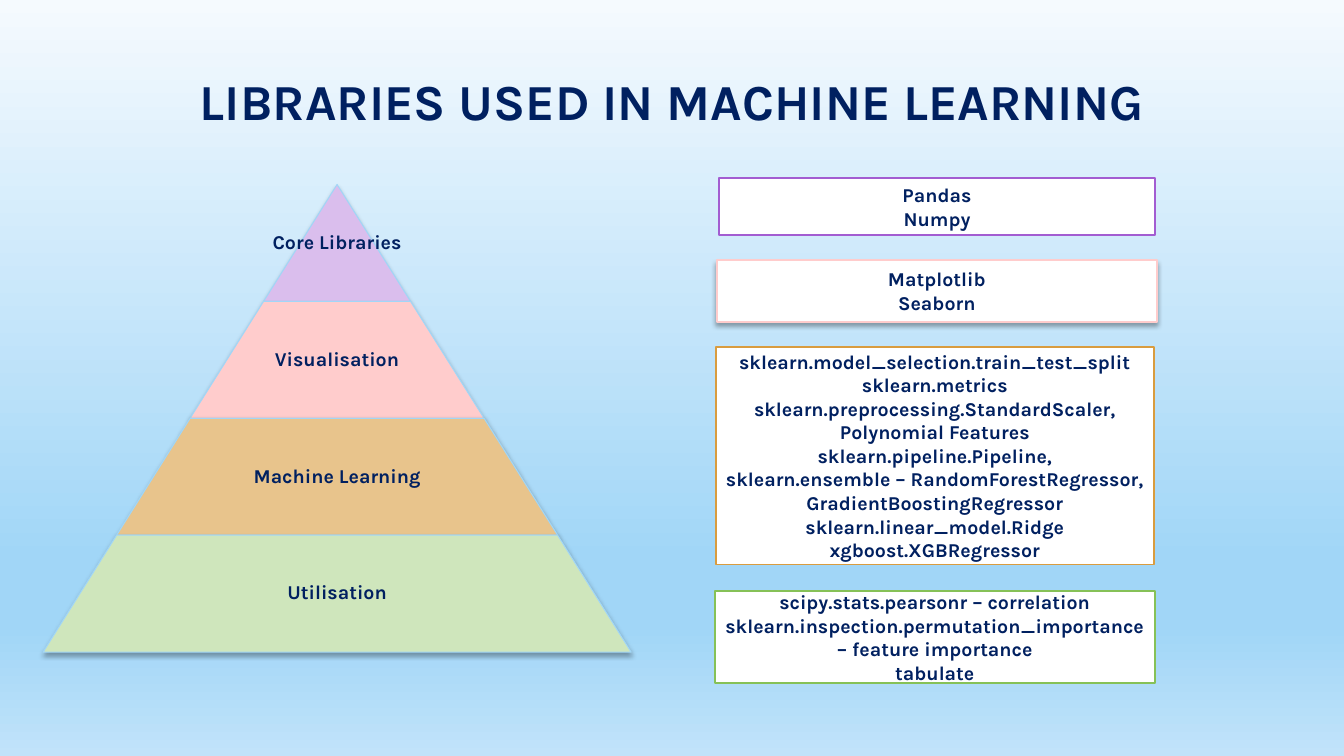
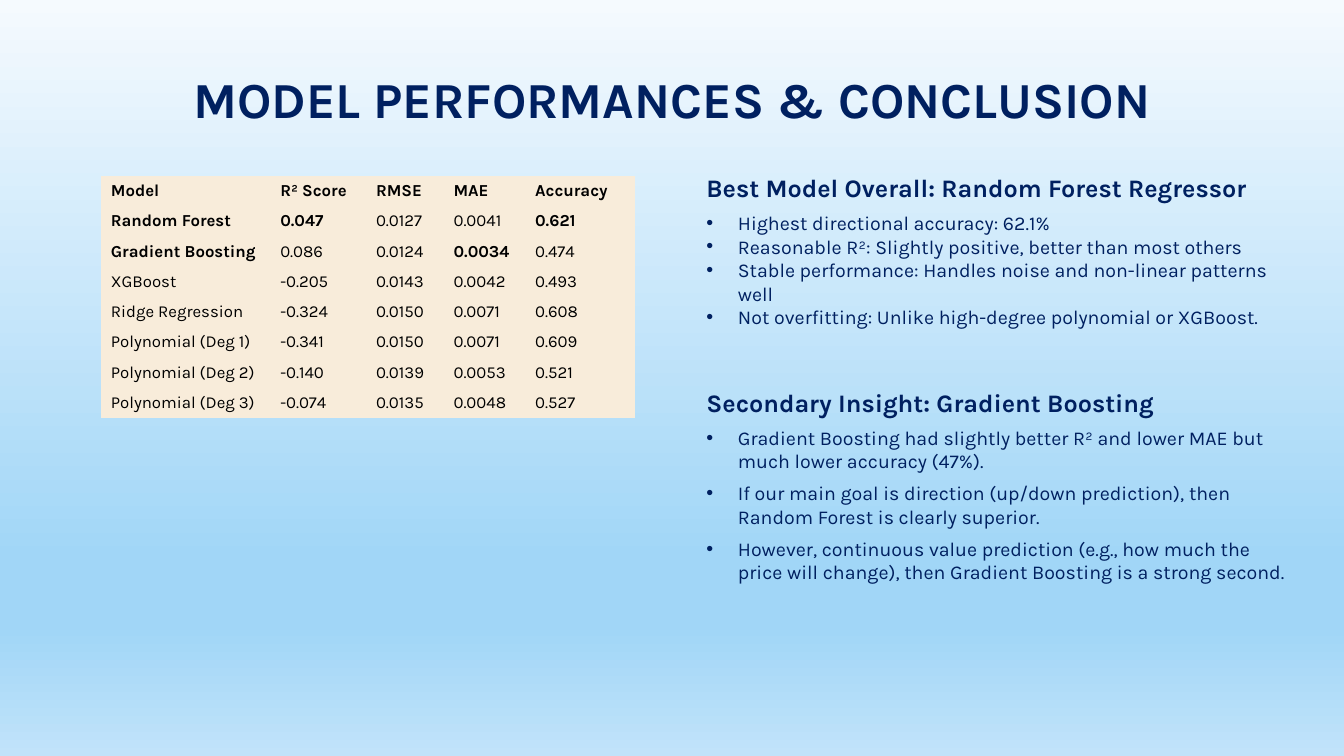
from lxml import etree
from pptx import Presentation
from pptx.dml.color import RGBColor
from pptx.enum import shapes, text
from pptx.oxml import ns
from pptx.util import Pt

FONT = "Karla"
COLOURS = {
    "navy": "002060", "black": "000000", "white": "FFFFFF", "sky": "A1D6F7",
    "dawn": "F5FAFE", "haze": "C1E3FA", "cream": "F8ECDA",
    "lilac": "DABEED", "pink": "FFCCCC", "sand": "E8C48C", "mint": "CFE6BC",
    "purple": "A35DD1", "amber": "D99C3F", "green": "86C157",
}
BACKDROP = [(0, "dawn"), (74, "sky"), (83, "sky"), (100, "haze")]

TIERS = [
    ("Core Libraries", "lilac"),
    ("Visualisation", "pink"),
    ("Machine Learning", "sand"),
    ("Utilisation", "mint"),
]
APEX_X, APEX_Y, TIER_HEIGHT, TIER_STEP = 240.8, 131.8, 83.5, 52.5

LIBRARIES = [
    ((513.4, 127.4, 311.8, 40.3), "purple", 1.25, False, ["Pandas", "Numpy"]),
    ((511.9, 185.8, 314.6, 43.9), "pink", 1.5, True, ["Matplotlib", "Seaborn"]),
    ((511.2, 247.7, 313.2, 155.5), "amber", 1.25, False, [
        "sklearn.model_selection.train_test_split",
        "sklearn.metrics",
        "sklearn.preprocessing.StandardScaler, Polynomial Features",
        "sklearn.pipeline.Pipeline,",
        "sklearn.ensemble – RandomForestRegressor, GradientBoostingRegressor",
        "sklearn.linear_model.Ridge",
        "xgboost.XGBRegressor",
    ]),
    ((510.5, 421.9, 314.6, 66.2), "green", 1.25, False, [
        "scipy.stats.pearsonr – correlation "
        "sklearn.inspection.permutation_importance – feature importance",
        "tabulate",
    ]),
]

SCORES = [
    ["Model", "R² Score", "RMSE", "MAE", "Accuracy"],
    ["Random Forest", "0.047", "0.0127", "0.0041", "0.621"],
    ["Gradient Boosting", "0.086", "0.0124", "0.0034", "0.474"],
    ["XGBoost", "-0.205", "0.0143", "0.0042", "0.493"],
    ["Ridge Regression", "-0.324", "0.0150", "0.0071", "0.608"],
    ["Polynomial (Deg 1)", "-0.341", "0.0150", "0.0071", "0.609"],
    ["Polynomial (Deg 2)", "-0.140", "0.0139", "0.0053", "0.521"],
    ["Polynomial (Deg 3)", "-0.074", "0.0135", "0.0048", "0.527"],
]
HIGHLIGHTS = {(1, 0), (1, 1), (1, 4), (2, 0), (2, 3)}
SCORE_WIDTHS = [121, 68.4, 55.4, 58.3, 78.5]
NO_GRID_STYLE = "{2D5ABB26-0587-4C30-8999-92F81FD0307C}"

FINDINGS = [
    (119.5, 103, 0, "Best Model Overall: Random Forest Regressor", [
        "Highest directional accuracy: 62.1%",
        "Reasonable R²: Slightly positive, better than most others",
        "Stable performance: Handles noise and non-linear patterns well",
        "Not overfitting: Unlike high-degree polynomial or XGBoost.",
    ]),
    (272.9, 149, 6, "Secondary Insight: Gradient Boosting", [
        "Gradient Boosting had slightly better R² and lower MAE but much lower "
        "accuracy (47%).",
        "If our main goal is direction (up/down prediction), then Random Forest "
        "is clearly superior.",
        "However, continuous value prediction (e.g., how much the price will "
        "change), then Gradient Boosting is a strong second.",
    ]),
]


def rgb(colour):
    return RGBColor.from_string(COLOURS[colour])


def add_xml(parent, tag, **attributes):
    return etree.SubElement(parent, ns.qn(tag), attributes)


def paint_backdrop(master):
    fill = master.background.fill
    fill.gradient()
    fill.gradient_angle = 270
    stops = next(master.element.iter(ns.qn("a:gsLst")))
    for stop in list(stops):
        stops.remove(stop)
    for position, colour in BACKDROP:
        stop = add_xml(stops, "a:gs", pos=str(position * 1000))
        add_xml(stop, "a:srgbClr", val=COLOURS[colour])


def write(paragraph, words, size, bold=True, colour="navy"):
    run = paragraph.add_run()
    run.text = words
    run.font.name = FONT
    run.font.size = Pt(size)
    run.font.bold = bold
    run.font.color.rgb = rgb(colour)


def write_centred(frame, lines, size=14, spacing=None):
    frame.word_wrap = True
    frame.vertical_anchor = text.MSO_ANCHOR.MIDDLE
    for index, line in enumerate(lines):
        paragraph = frame.add_paragraph() if index else frame.paragraphs[0]
        paragraph.alignment = text.PP_ALIGN.CENTER
        paragraph.line_spacing = spacing
        write(paragraph, line, size)


def add_titled_slide(deck, heading, top):
    slide = deck.slides.add_slide(deck.slide_layouts[5])
    title = slide.shapes.title
    title.left, title.top, title.width, title.height = map(Pt, (72, top, 816, 58.3))
    title.text_frame.auto_size = text.MSO_AUTO_SIZE.NONE
    write_centred(title.text_frame, [heading], 36, 0.9)
    return slide


def cast_shadow(shape):
    effects = shape.element.spPr.find(ns.qn("a:effectLst"))
    shadow = add_xml(effects, "a:outerShdw", blurRad=str(Pt(3.5)), dist=str(Pt(2.2)),
                     dir="5400000", algn="ctr", rotWithShape="0")
    tint = add_xml(shadow, "a:srgbClr", val=COLOURS["black"])
    add_xml(tint, "a:alpha", val="32000")


def add_panel(slide, kind, area, fill, outline, weight, shadowed):
    panel = slide.shapes.add_shape(kind, *map(Pt, area))
    panel.shadow.inherit = False
    panel.fill.solid()
    panel.fill.fore_color.rgb = rgb(fill)
    panel.line.color.rgb = rgb(outline)
    panel.line.width = Pt(weight)
    if shadowed:
        cast_shadow(panel)
    return panel


def add_tier(slide, level, label, colour):
    half = TIER_STEP * (level + 1)
    area = (APEX_X - half, APEX_Y + level * TIER_HEIGHT, 2 * half, TIER_HEIGHT)
    tier = add_panel(slide, shapes.MSO_SHAPE.TRAPEZOID, area, colour, "sky", 0.75, True)
    tier.adjustments[0] = TIER_STEP / TIER_HEIGHT
    frame = slide.shapes.add_textbox(*map(Pt, area)).text_frame
    frame.margin_left = frame.margin_right = Pt(1.4)
    frame.margin_top = frame.margin_bottom = Pt(1.4)
    write_centred(frame, [label], spacing=0.9)


def add_scores(slide):
    holder = slide.shapes.add_table(len(SCORES), len(SCORE_WIDTHS), Pt(72), Pt(125.6),
                                    Pt(sum(SCORE_WIDTHS)), Pt(21.6 * len(SCORES)))
    next(holder.element.iter(ns.qn("a:tableStyleId"))).text = NO_GRID_STYLE
    scores = holder.table
    scores.horz_banding = False
    for column, width in zip(scores.columns, SCORE_WIDTHS):
        column.width = Pt(width)
    for row, values in enumerate(SCORES):
        for column, value in enumerate(values):
            cell = scores.cell(row, column)
            cell.fill.solid()
            cell.fill.fore_color.rgb = rgb("cream")
            cell.vertical_anchor = text.MSO_ANCHOR.MIDDLE
            bold = row == 0 or (row, column) in HIGHLIGHTS
            write(cell.text_frame.paragraphs[0], value, 12, bold, "black")


def add_finding(slide, top, height, gap, heading, points):
    frame = slide.shapes.add_textbox(Pt(497.5), Pt(top), Pt(437), Pt(height)).text_frame
    frame.word_wrap = True
    frame.paragraphs[0].space_after = Pt(6)
    write(frame.paragraphs[0], heading, 18)
    for point in points:
        paragraph = frame.add_paragraph()
        properties = paragraph._p.get_or_add_pPr()
        properties.set("marL", str(Pt(22.5)))
        properties.set("indent", str(Pt(-22.5)))
        add_xml(properties, "a:buFont", typeface="Arial")
        add_xml(properties, "a:buChar", char="•")
        paragraph.space_after = Pt(gap)
        write(paragraph, point, 14, False)


def main():
    deck = Presentation()
    deck.slide_width, deck.slide_height = Pt(960), Pt(540)
    paint_backdrop(deck.slide_master)

    libraries = add_titled_slide(deck, "LIBRARIES USED IN MACHINE LEARNING", 45.4)
    for level, (label, colour) in enumerate(TIERS):
        add_tier(libraries, level, label, colour)
    for area, outline, weight, shadowed, names in LIBRARIES:
        panel = add_panel(libraries, shapes.MSO_SHAPE.RECTANGLE, area, "white",
                          outline, weight, shadowed)
        write_centred(panel.text_frame, names)

    results = add_titled_slide(deck, "MODEL PERFORMANCES & CONCLUSION", 43.9)
    for finding in FINDINGS:
        add_finding(results, *finding)
    add_scores(results)

    deck.save("out.pptx")


if __name__ == "__main__":
    main()
